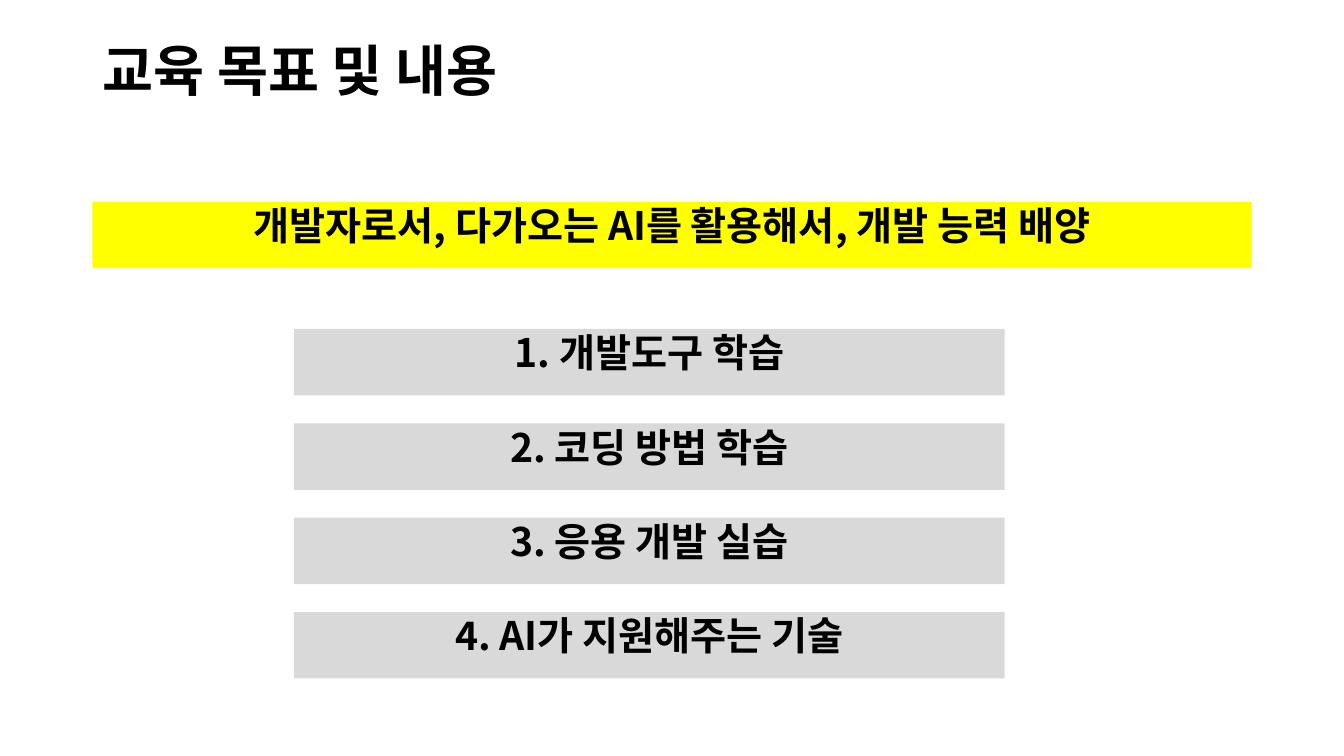
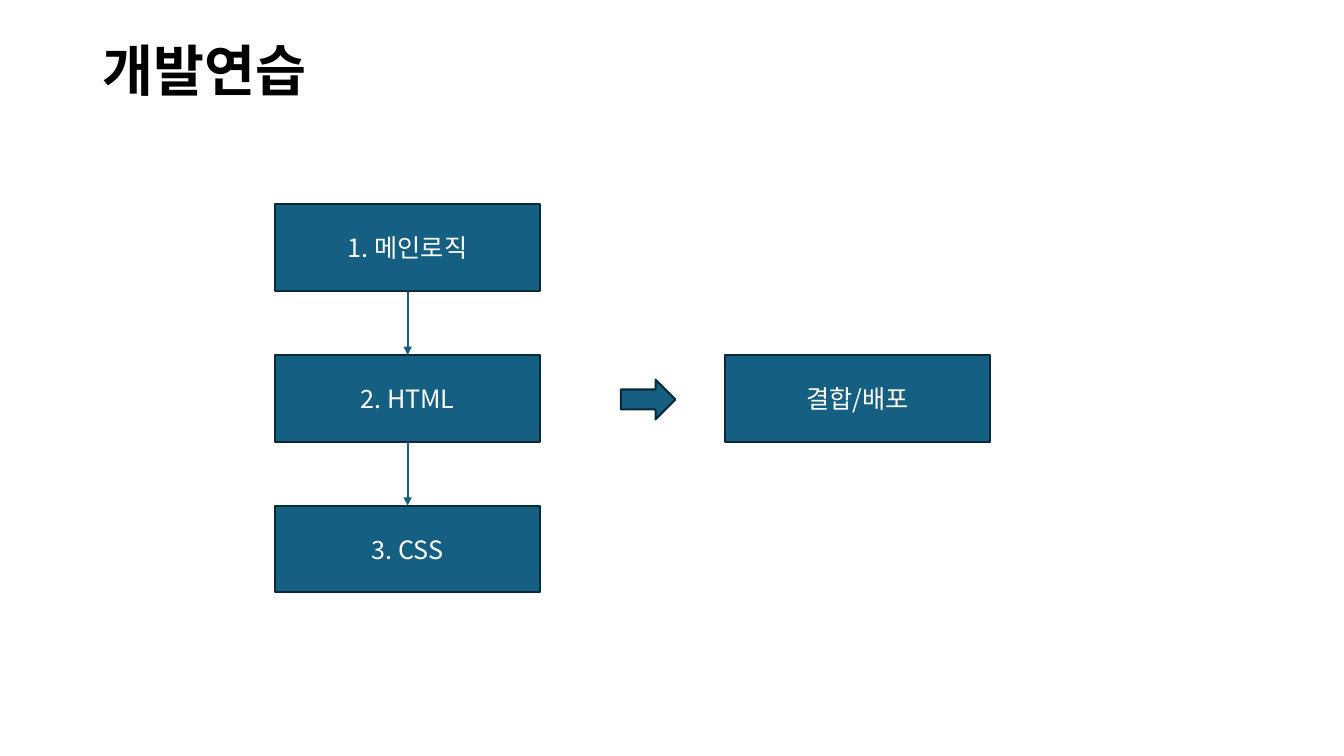
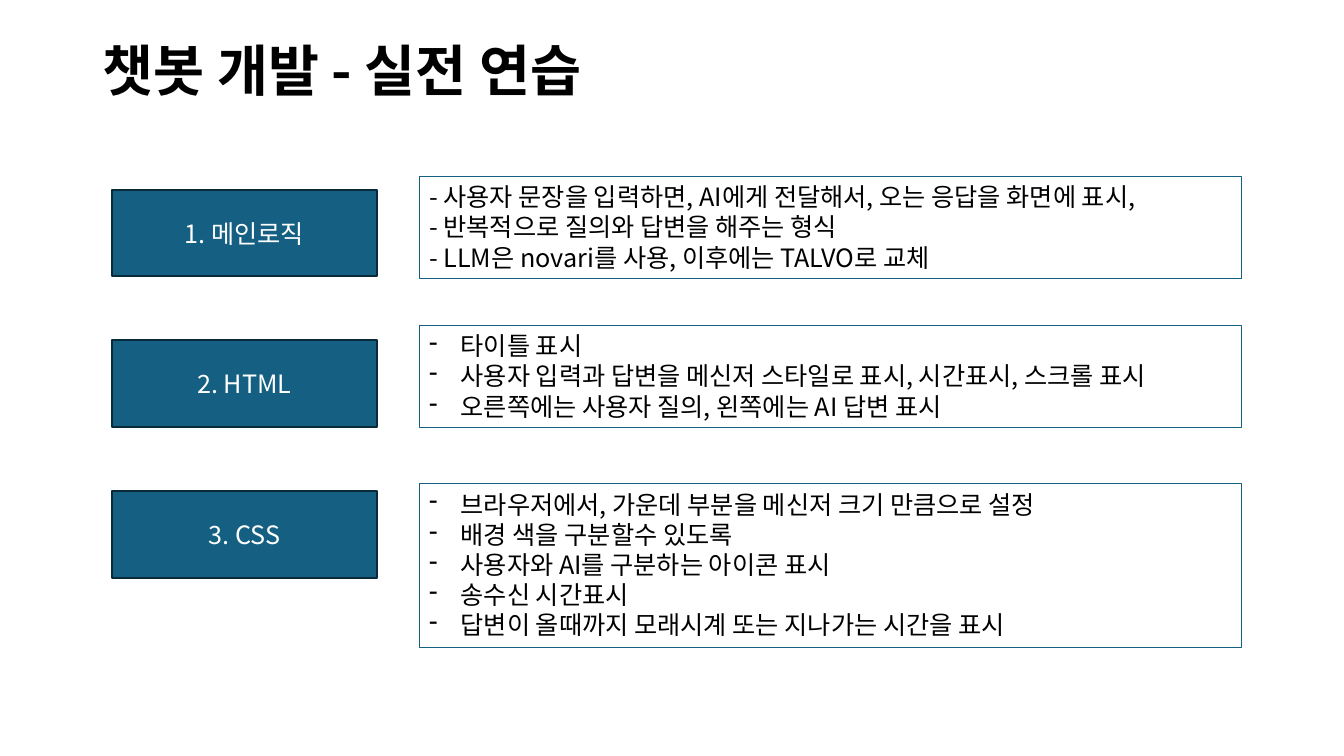
from dataclasses import dataclass
from typing import Any

import lxml.etree
import pptx
import pptx.dml.color
import pptx.enum.shapes
import pptx.enum.text
import pptx.oxml.ns
import pptx.util

FONT = "Noto Sans CJK KR"
BLACK, WHITE, GREY, YELLOW = "000000", "FFFFFF", "D9D9D9", "FFFF00"
BLUE, NAVY = "156082", "092A39"
RECT = pptx.enum.shapes.MSO_SHAPE.RECTANGLE
ARROW = pptx.enum.shapes.MSO_SHAPE.RIGHT_ARROW
LEFT, MID = pptx.enum.text.PP_ALIGN.LEFT, pptx.enum.text.PP_ALIGN.CENTER
TOP, CENTER = pptx.enum.text.MSO_ANCHOR.TOP, pptx.enum.text.MSO_ANCHOR.MIDDLE
FIXED = pptx.enum.text.MSO_AUTO_SIZE.NONE
GROW = pptx.enum.text.MSO_AUTO_SIZE.SHAPE_TO_FIT_TEXT

STEPS = ("1. 메인로직", "2. HTML", "3. CSS")
STEP_W, STEP_H, STEP_GAP = 189.4, 62, 107.6
BAR_H = 47.5


@dataclass(frozen=True)
class Box:
    left: float
    top: float
    wide: float
    high: float


@dataclass(frozen=True)
class Note:
    top: float
    high: float
    lines: tuple[str, ...]
    dash: bool = True


GOALS = ("1. 개발도구 학습", "2. 코딩 방법 학습", "3. 응용 개발 실습", "4. AI가 지원해주는 기술")
NOTES = (
    Note(126, 72.7, (
        "- 사용자 문장을 입력하면, AI에게 전달해서, 오는 응답을 화면에 표시,",
        "- 반복적으로 질의와 답변을 해주는 형식",
        "- LLM은 novari를 사용, 이후에는 TALVO로 교체"), dash=False),
    Note(232.5, 72.7, (
        "타이틀 표시",
        "사용자 입력과 답변을 메신저 스타일로 표시, 시간표시, 스크롤 표시",
        "오른쪽에는 사용자 질의, 왼쪽에는 AI 답변 표시")),
    Note(345.6, 116.6, (
        "브라우저에서, 가운데 부분을 메신저 크기 만큼으로 설정",
        "배경 색을 구분할수 있도록",
        "사용자와 AI를 구분하는 아이콘 표시",
        "송수신 시간표시",
        "답변이 올때까지 모래시계 또는 지나가는 시간을 표시")),
)


def color(code: str) -> pptx.dml.color.RGBColor:
    return pptx.dml.color.RGBColor.from_string(code)


def add(node: Any, tag: str, **keys: str) -> None:
    """Append one drawing element to a node."""
    lxml.etree.SubElement(node, pptx.oxml.ns.qn(tag), keys)


def write(shape: Any, *lines: str, size: float = 18, ink: str = BLACK,
          bold: bool = False, align: Any = LEFT, anchor: Any = TOP,
          space: float | None = None, before: float = 0,
          dash: bool = False, fit: Any = FIXED) -> None:
    """Fill a shape with formatted paragraphs."""
    frame = shape.text_frame
    frame.text = "\n".join(lines)
    frame.word_wrap = True
    frame.auto_size = fit
    frame.vertical_anchor = anchor
    for para in frame.paragraphs:
        para.alignment = align
        para.line_spacing = space
        para.space_before = pptx.util.Pt(before)
        for run in para.runs:
            font = run.font
            font.name, font.bold = FONT, bold
            font.size = pptx.util.Pt(size)
            font.color.rgb = color(ink)
    # East Asian font, indents and bullets
    for node in shape.element.iter(pptx.oxml.ns.qn("a:rPr")):
        add(node, "a:ea", typeface=FONT)
    dent = pptx.util.Pt(22.5) if dash else 0
    for node in shape.element.iter(pptx.oxml.ns.qn("a:pPr")):
        node.set("marL", str(dent))
        node.set("indent", str(-dent))
        if dash:
            add(node, "a:buChar", char="-")
        else:
            add(node, "a:buNone")


def place(shape: Any, box: Box) -> None:
    shape.left, shape.top = pptx.util.Pt(box.left), pptx.util.Pt(box.top)
    shape.width, shape.height = pptx.util.Pt(box.wide), pptx.util.Pt(box.high)


def paint(shape: Any, fill: str | None, edge: str | None, width: float = 1.5) -> None:
    if fill:
        shape.fill.solid()
        shape.fill.fore_color.rgb = color(fill)
    else:
        shape.fill.background()
    if edge:
        shape.line.color.rgb = color(edge)
        shape.line.width = pptx.util.Pt(width)
    else:
        shape.line.fill.background()


def draw(slide: Any, box: Box, fill: str | None, edge: str | None,
         width: float = 1.5, kind: Any = RECT) -> Any:
    shape = slide.shapes.add_shape(kind, 0, 0, 0, 0)
    place(shape, box)
    paint(shape, fill, edge, width)
    shape.shadow.inherit = False
    return shape


def start(deck: Any, title: str, layout: int = 5) -> Any:
    """Add a slide with the shared title style."""
    slide = deck.slides.add_slide(deck.slide_layouts[layout])
    head = slide.shapes.title
    place(head, Box(66, 29, 605.5, BAR_H))
    write(head, title, size=39.6, bold=True, anchor=CENTER, space=0.9)
    return slide


def label(shape: Any, text: str) -> None:
    write(shape, text, size=28, bold=True, align=MID, space=0.9, before=10)


def step(slide: Any, text: str, left: float, top: float) -> Any:
    shape = draw(slide, Box(left, top, STEP_W, STEP_H), BLUE, NAVY)
    write(shape, text, ink=WHITE, align=MID, anchor=CENTER)
    return shape


def stack(slide: Any, left: float, top: float) -> list[Any]:
    """Draw the column of three steps."""
    return [step(slide, text, left, top + i * STEP_GAP)
            for i, text in enumerate(STEPS)]


def link(slide: Any, first: Any, last: Any) -> None:
    """Join two stacked boxes with an arrow."""
    line = slide.shapes.add_connector(
        pptx.enum.shapes.MSO_CONNECTOR.STRAIGHT, 0, 0, 0, 0)
    line.begin_connect(first, 2)
    line.end_connect(last, 0)
    line.line.color.rgb = color(BLUE)
    line.line.width = pptx.util.Pt(1.5)
    props = line.element.spPr
    add(props.find(pptx.oxml.ns.qn("a:ln")), "a:tailEnd", type="triangle")
    add(props, "a:effectLst")


def goals(deck: Any) -> None:
    slide = start(deck, "교육 목표 및 내용", layout=1)
    # Main goal
    body = slide.placeholders[1]
    place(body, Box(66, 144, 828, BAR_H))
    paint(body, YELLOW, None)
    label(body, "개발자로서, 다가오는 AI를 활용해서, 개발 능력 배양")
    # Topic bars
    for i, text in enumerate(GOALS):
        bar = draw(slide, Box(210, 235 + i * 67.4, 507.6, BAR_H), GREY, None)
        label(bar, text)


def flow(deck: Any) -> None:
    slide = start(deck, "개발연습")
    left, top = 196.5, 146
    steps = stack(slide, left, top)
    step(slide, "결합/배포", 517.7, top + STEP_GAP)
    for first, last in zip(steps, steps[1:]):
        link(slide, first, last)
    draw(slide, Box(443.5, 271.2, 39, 28.4), BLUE, NAVY, kind=ARROW)


def tasks(deck: Any) -> None:
    slide = start(deck, "챗봇 개발 - 실전 연습")
    stack(slide, 79.8, 135.5)
    # Details beside each step
    for note in NOTES:
        box = draw(slide, Box(299.5, note.top, 587.5, note.high), None, BLUE, 0.75)
        write(box, *note.lines, dash=note.dash, fit=GROW)


def main() -> None:
    deck = pptx.Presentation()
    deck.slide_width, deck.slide_height = pptx.util.Pt(960), pptx.util.Pt(540)
    goals(deck)
    flow(deck)
    tasks(deck)
    deck.save("out.pptx")


if __name__ == "__main__":
    main()
